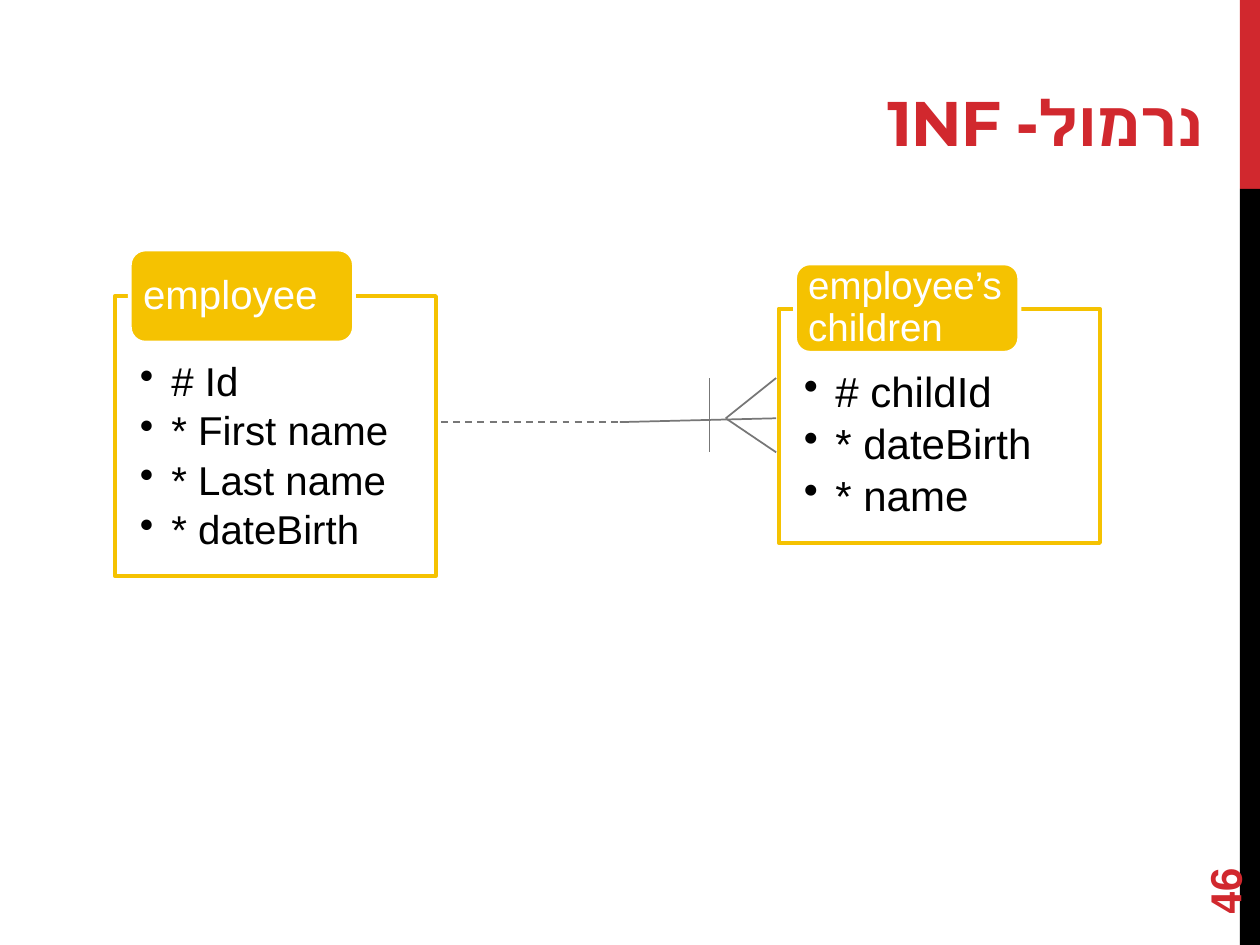
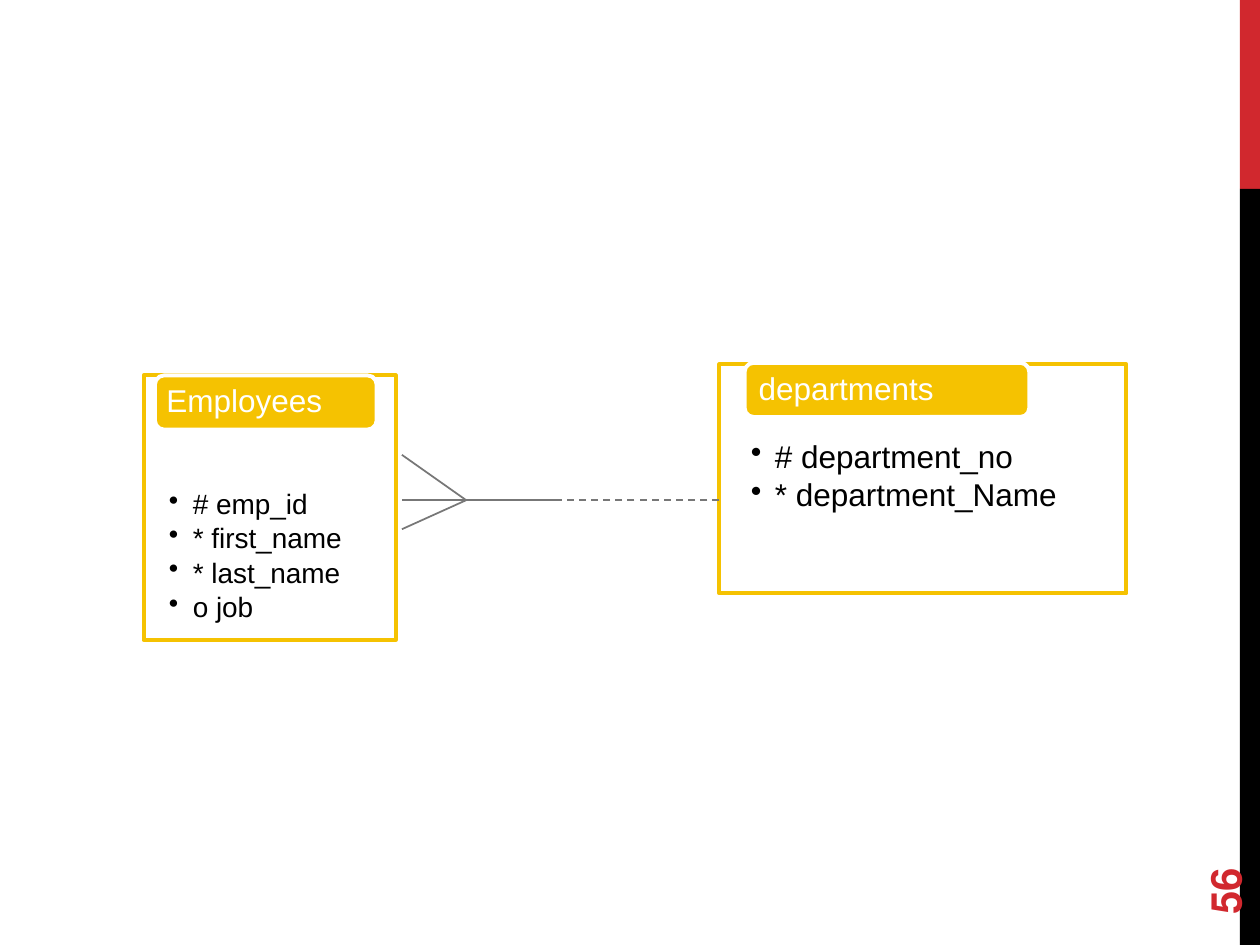
from lxml.etree import SubElement
from pptx import Presentation
from pptx.dml.color import RGBColor as RGB
from pptx.enum.dml import MSO_LINE_DASH_STYLE as Dash
from pptx.enum.shapes import MSO_CONNECTOR as Connector, MSO_SHAPE as Shape
from pptx.enum.text import MSO_ANCHOR as Anchor, MSO_AUTO_SIZE as AutoSize, PP_ALIGN as Align
from pptx.oxml.ns import qn
from pptx.util import Inches, Pt

COLORS = {
    "accent": "D1282E",
    "black": "000000",
    "white": "FFFFFF",
    "entity": "F5C201",
    "link": "777777",
}
COLS, ROWS = 100, 75
TITLE_ONLY, BLANK = 5, 6


class Deck:
    font = "Arial"
    title_font = "Montserrat"

    def __init__(self):
        self.prs = Presentation()
        self.prs.slide_width = Inches(10)
        self.prs.slide_height = Inches(7.5)
        self.s = None

    def color(self, name):
        return RGB.from_string(COLORS[name])

    def x(self, cols):
        return round(self.prs.slide_width * cols / COLS)

    def y(self, rows):
        return round(self.prs.slide_height * rows / ROWS)

    def box(self, left, top, width, height):
        return self.x(left), self.y(top), self.x(width), self.y(height)

    def slide(self, number, layout):
        self.s = self.prs.slides.add_slide(self.prs.slide_layouts[layout])
        self.shape(Shape.RECTANGLE, (98.4, 0, 1.6, 15), "accent")
        self.shape(Shape.RECTANGLE, (98.4, 15, 1.6, 60), "black")
        self.number(number)

    def shape(self, kind, at, fill, line=None):
        sp = self.s.shapes.add_shape(kind, *self.box(*at))
        sp.shadow.inherit = False
        sp.fill.solid()
        sp.fill.fore_color.rgb = self.color(fill)
        if line:
            sp.line.color.rgb = self.color(line)
            sp.line.width = Pt(2.25)
        else:
            sp.line.fill.background()
        return sp

    def style(self, p, size, color, bold=False, font=None):
        for r in p.runs:
            r.font.name = font or self.font
            r.font.size = Pt(size)
            r.font.bold = bold
            r.font.color.rgb = self.color(color)

    def rtl(self, p, align):
        p.alignment = align
        p._p.get_or_add_pPr().set("rtl", "1")

    def title(self, text):
        sp = self.s.shapes.title
        sp.left, sp.top, sp.width, sp.height = self.box(5, 1.7, 91.5, 11.4)
        tf = sp.text_frame
        tf.text = text
        tf.auto_size = AutoSize.NONE
        tf.vertical_anchor = Anchor.BOTTOM
        p = tf.paragraphs[0]
        self.rtl(p, Align.RIGHT)
        self.style(p, 36, "accent", True, self.title_font)
        for r in p.runs:
            r.font._element.set("spc", "-60")

    def number(self, text):
        sp = self.s.shapes.add_textbox(*self.box(90, 64.4, 14.4, 4))
        sp.rotation = 270
        tf = sp.text_frame
        tf.word_wrap = True
        tf.vertical_anchor = Anchor.MIDDLE
        tf.text = text
        self.rtl(tf.paragraphs[0], None)
        self.style(tf.paragraphs[0], 24, "accent", True)

    def entity(self, at, fields, size, inset, indent):
        sp = self.shape(Shape.RECTANGLE, at, "white", "entity")
        rgb = sp.fill._xPr.find(qn("a:solidFill"))[0]
        SubElement(rgb, qn("a:alpha"), val="90000")
        tf = sp.text_frame
        tf.word_wrap = True
        tf.vertical_anchor = Anchor.TOP
        tf.margin_left = tf.margin_right = self.x(inset[0])
        tf.margin_top, tf.margin_bottom = self.y(inset[1]), 0
        tf.text = "\n".join(fields)
        for p in tf.paragraphs:
            self.bullet(p, self.x(indent))
            self.style(p, size, "black")

    def bullet(self, p, indent):
        p.level = 1
        p.alignment = Align.LEFT
        pPr = p._p.get_or_add_pPr()
        pPr.set("marL", str(indent))
        pPr.set("indent", str(-indent))
        after = SubElement(pPr, qn("a:spcAft"))
        SubElement(after, qn("a:spcPct"), val="15000")
        SubElement(pPr, qn("a:buChar"), char="•")
        p.line_spacing = 0.9

    def tab(self, at, text, size, inset=0.7):
        sp = self.shape(Shape.ROUNDED_RECTANGLE, at, "entity", "white")
        tf = sp.text_frame
        tf.word_wrap = True
        tf.vertical_anchor = Anchor.MIDDLE
        tf.margin_left = tf.margin_right = self.x(inset)
        tf.margin_top = tf.margin_bottom = 0
        tf.text = text
        p = tf.paragraphs[0]
        p.line_spacing = 0.9
        self.rtl(p, None)
        self.style(p, size, "white")

    def link(self, start, end, dashed=False):
        c = self.s.shapes.add_connector(
            Connector.STRAIGHT, self.x(start[0]), self.y(start[1]), self.x(end[0]), self.y(end[1])
        )
        c.line.color.rgb = self.color("link")
        c.line.width = Pt(1)
        if dashed:
            c.line.dash_style = Dash.DASH
        SubElement(c._element.spPr, qn("a:effectLst"))

    def crow_foot(self, side, apex, toes):
        for toe in toes:
            self.link((side, toe), apex)


def first_normal_form(deck):
    deck.slide("46", TITLE_ONLY)
    deck.title("נרמול- 1NF")
    deck.entity((61.8, 24.5, 25.5, 18.6), ["# childId", "* dateBirth", "* name"], 24, (2, 5), 2.5)
    deck.tab((63.1, 20.9, 17.8, 7.1), "employee’s children", 22)
    deck.entity(
        (9.1, 23.5, 25.5, 22.2),
        ["# Id", "* First name", "* Last name", "* dateBirth"], 23, (2, 5.2), 2.5,
    )
    deck.tab((10.3, 19.8, 17.8, 7.4), "employee", 23)
    middle = (49.2, 33.5)
    deck.link((61.6, 33.2), middle)
    deck.crow_foot(61.6, (57.6, 33.2), (30, 35.9))
    deck.link((35, 33.5), middle, dashed=True)
    deck.link((56.3, 30), (56.3, 35.9))


def employees_and_departments(deck):
    deck.slide("56", BLANK)
    deck.entity(
        (11.4, 29.8, 20, 21),
        ["# emp_id", "* first_name", "* last_name", "o job"], 16, (2, 9.1), 1.9,
    )
    deck.tab((12.3, 29.8, 17.6, 4.3), "Employees", 18)
    deck.entity(
        (57.1, 28.9, 32.3, 18.2), ["# department_no", "* department_Name"], 18, (2.5, 6.1), 1.9
    )
    deck.tab((59.1, 28.8, 22.6, 4.3), "departments", 18, 0.9)
    axis = 39.7
    deck.link((44.6, axis), (31.9, axis))
    deck.crow_foot(31.9, (37, axis), (36.1, 42))
    deck.link((57.1, axis), (44.4, axis), dashed=True)


def main():
    deck = Deck()
    first_normal_form(deck)
    employees_and_departments(deck)
    deck.prs.save("out.pptx")


if __name__ == "__main__":
    main()
